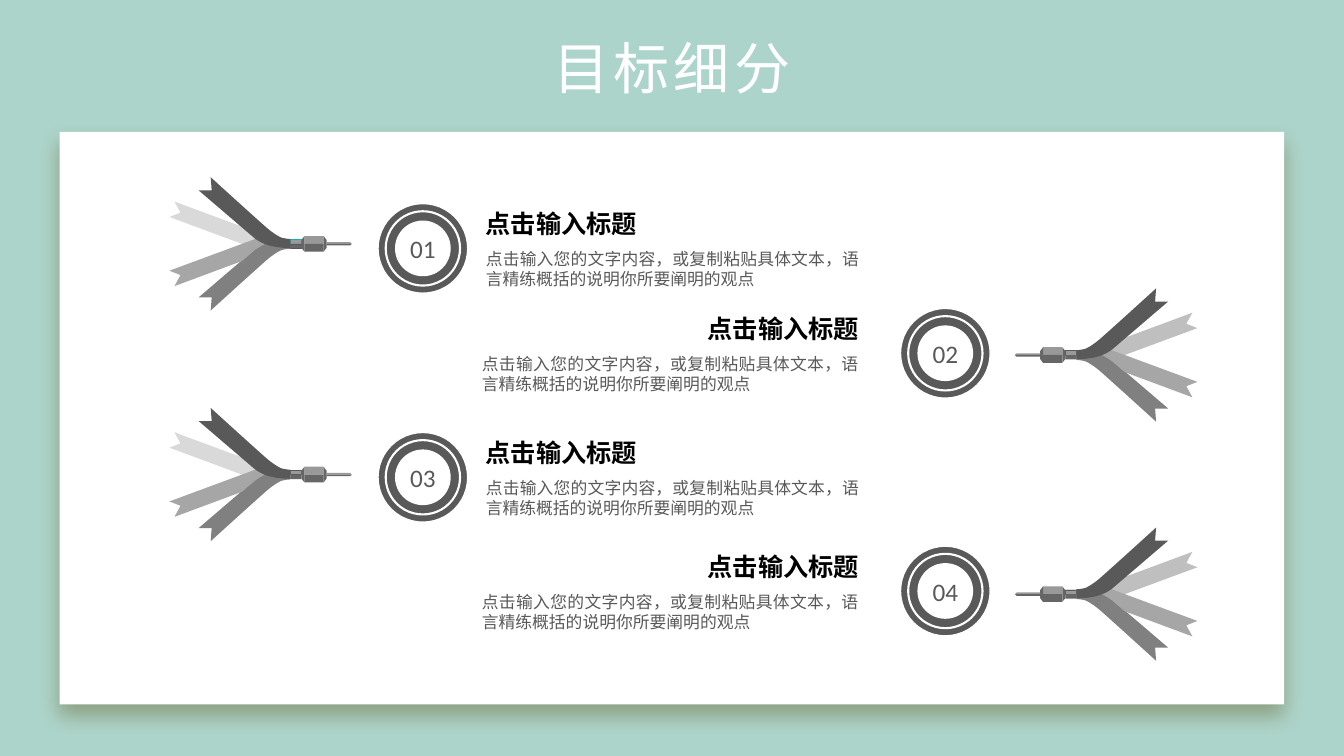
from lxml import etree
from pptx import Presentation
from pptx.dml.color import RGBColor
from pptx.enum.shapes import MSO_SHAPE as Preset
from pptx.enum.text import MSO_ANCHOR as Anchor, PP_ALIGN as Align
from pptx.oxml import parse_xml
from pptx.oxml.ns import nsdecls, qn
from pptx.util import Pt

MINT, WHITE, BLACK, TEAL = "ADD4CA", "FFFFFF", "000000", "1BAEB1"
DARK, DIM, GRAY, STEEL, SILVER = "595959", "666666", "808080", "999999", "A6A6A6"
HEADING = "点击输入标题"
BODY = "点击输入您的文字内容，或复制粘贴具体文本，语言精练概括的说明你所要阐明的观点"

# Dart outlines: x from the tail, y from the axis. Two numbers are a corner,
# six are a Bezier curve.
LONG_FEATHER = [(86.4, -3.5), (86.4, -3.5, 83.5, -3.5, 79.9, -4.5),
                (77, -5.8, 74.2, -7.8, 71.3, -10), (68.4, -12.2, 29.5, -47.6, 29.5, -47.6),
                (30.2, -38.2), (20.9, -38.2), (60.5, -4.3),
                (60.5, -4.3, 65.5, 0, 72.7, 1.5), (78.5, 3, 86.4, 3, 86.4, 3)]
SHORT_FEATHER = [(7.9, -22.3), (0, -19.2), (61.9, 3.7), (61.9, 3.7, 65.5, 0.9, 68.4, 0),
                 (65.5, -1.4, 63.4, -2.8, 61.2, -4.3), (59.8, -5.2, 59, -6.4, 57.6, -7.3),
                 (55.4, -9.2, 54, -10.6, 51.8, -12.3), (3.6, -30.2)]
FRONT_CONE = [(112.3, 2.8), (110.2, 5.6), (110.2, -5.6), (112.3, -2.8)]
BACK_CONE = [(94.3, 2.8), (96.5, 5.6), (96.5, -5.6), (94.3, -2.8)]
NEEDLE = [(130.3, 0), (112.3, 0), (112.3, -1.2), (129.1, -1.2)]
DART_WIDTH = 130.3
RING_SIZE = 64.1


def color(value):
    return RGBColor.from_string(value)


def paint(shape, fill, line=None, width=1):
    shape.shadow.inherit = False
    shape.fill.solid()
    shape.fill.fore_color.rgb = color(fill)
    if line:
        shape.line.color.rgb = color(line)
        shape.line.width = Pt(width)
    else:
        shape.line.fill.background()


def add_preset(shapes, preset, box, fill, line=None, width=1):
    shape = shapes.add_shape(preset, *map(Pt, box))
    paint(shape, fill, line, width)
    return shape


def write(shape, text, format_values, rgb, align, anchor=Anchor.TOP, spacing=None):
    frame = shape.text_frame
    frame_values = {"word_wrap": True, "vertical_anchor": anchor, "margin_left": 0,
                    "margin_right": 0, "margin_top": 0, "margin_bottom": 0}
    for name, value in frame_values.items():
        setattr(frame, name, value)
    paragraph = frame.paragraphs[0]
    paragraph.alignment = align
    if spacing:
        paragraph.line_spacing = spacing
    run = paragraph.add_run()
    run.text = text
    run.font.color.rgb = color(rgb)
    for name, value in {"name": "Calibri", **format_values}.items():
        setattr(run.font, name, value)
    return run


def add_text(shapes, box, *args, **options):
    return write(shapes.add_textbox(*map(Pt, box)), *args, **options)


def flatten(outline, steps=8):
    """Turn corners and Bezier curves into a list of points."""
    points = []
    for part in outline:
        if len(part) == 2:
            points.append(part)
            continue
        knots = [points[-1], part[:2], part[2:4], part[4:]]
        for step in range(1, steps + 1):
            t = step / steps
            weights = ((1 - t) ** 3, 3 * t * (1 - t) ** 2, 3 * t * t * (1 - t), t ** 3)
            points.append(tuple(sum(w * knot[axis] for w, knot in zip(weights, knots))
                                for axis in (0, 1)))
    return points


def add_dart(slide, left, axis, faces_left, pale, collar_lines):
    shapes = slide.shapes.add_group_shape().shapes

    def place_x(x):
        return left + (DART_WIDTH - x if faces_left else x)

    def add_outline(outline, fill, side=1):
        points = [(Pt(place_x(x)), Pt(axis + side * y)) for x, y in flatten(outline)]
        builder = shapes.build_freeform(*points[0])
        builder.add_line_segments(points[1:], close=True)
        paint(builder.convert_to_shape(), fill)

    def add_block(x, y, width, height, fill, line=None):
        block_left = min(place_x(x), place_x(x + width))
        add_preset(shapes, Preset.RECTANGLE, (block_left, axis + y, width, height),
                   fill, line, 0.25)

    add_outline(SHORT_FEATHER, pale)
    for x, width, height, lines in ((96.5, 13.7, 5.6, (None, None)),
                                    (86.4, 7.9, 3.2, collar_lines)):
        add_block(x, -height, width, height, STEEL, lines[0])
        add_block(x, 0, width, height, DIM, lines[1])
    for outline, fill, side in ((FRONT_CONE, DIM, 1), (BACK_CONE, DIM, 1),
                                (NEEDLE, STEEL, 1), (NEEDLE, DIM, -1),
                                (LONG_FEATHER, GRAY, -1), (SHORT_FEATHER, SILVER, -1),
                                (LONG_FEATHER, DARK, 1)):
        add_outline(outline, fill, side)


def add_ring(slide, left, top, number):
    shapes = slide.shapes.add_group_shape().shapes
    for size, fill, line, width in ((RING_SIZE, DARK, WHITE, 1), (53.1, DARK, WHITE, 1.5),
                                    (39.8, WHITE, None, 1)):
        inset = (RING_SIZE - size) / 2
        disc = add_preset(shapes, Preset.OVAL, (left + inset, top + inset, size, size),
                          fill, line, width)
    write(disc, number, {"size": Pt(18)}, DARK, Align.CENTER, Anchor.MIDDLE)


def add_goal(slide, number, top, axis, on_right, pale, collar_lines):
    """One goal: dart, numbered ring, heading and body."""
    if on_right:
        dart_left, ring_left, heading_left, body_left, body_width = 725, 643.2, 435, 344.2, 269.3
    else:
        dart_left, ring_left, heading_left, body_left, body_width = 121, 270, 347, 347, 267
    add_dart(slide, dart_left, axis, on_right, pale, collar_lines)
    add_ring(slide, ring_left, top, number)
    add_text(slide.shapes, (heading_left, top - 0.8, 178.5, 30), HEADING,
             {"size": Pt(18), "bold": True}, BLACK,
             Align.RIGHT if on_right else Align.LEFT, spacing=1.2)
    add_text(slide.shapes, (body_left, top + 32.4, body_width, 33), BODY,
             {"size": Pt(12)}, DARK, Align.JUSTIFY)


def add_card(slide, box):
    card = add_preset(slide.shapes, Preset.RECTANGLE, box, WHITE)
    effects = card._element.spPr.find(qn("a:effectLst"))
    effects.append(parse_xml(
        f'<a:outerShdw {nsdecls("a")} blurRad="{Pt(15)}" dist="{Pt(8)}" dir="5400000" '
        'algn="t" rotWithShape="0"><a:srgbClr val="5D5419"><a:alpha val="40000"/>'
        '</a:srgbClr></a:outerShdw>'))


def add_title(slide, box, text):
    run = add_text(slide.shapes, box, text, {"size": Pt(40)}, WHITE, Align.CENTER, Anchor.MIDDLE)
    run.font._element.set("spc", "300")


def main():
    presentation = Presentation()
    presentation.slide_width, presentation.slide_height = Pt(960), Pt(540)
    slide = presentation.slides.add_slide(presentation.slide_layouts[6])
    slide.background.fill.solid()
    slide.background.fill.fore_color.rgb = color(MINT)
    add_card(slide, (42.7, 94.2, 874.6, 408.9))
    add_title(slide, (278, 26, 404, 44), "目标细分")
    for number, top, axis, on_right, pale, collar_lines in (
            ("01", 145.4, 174.2, False, "D9D9D9", (TEAL, DARK)),
            ("02", 220.3, 253.6, True, "BFBFBF", (DARK, None)),
            ("03", 308.9, 339, False, "D9D9D9", (DARK, None)),
            ("04", 390.1, 424.4, True, "BFBFBF", (DARK, None))):
        add_goal(slide, number, top, axis, on_right, pale, collar_lines)
    presentation.save("out.pptx")


if __name__ == "__main__":
    main()
